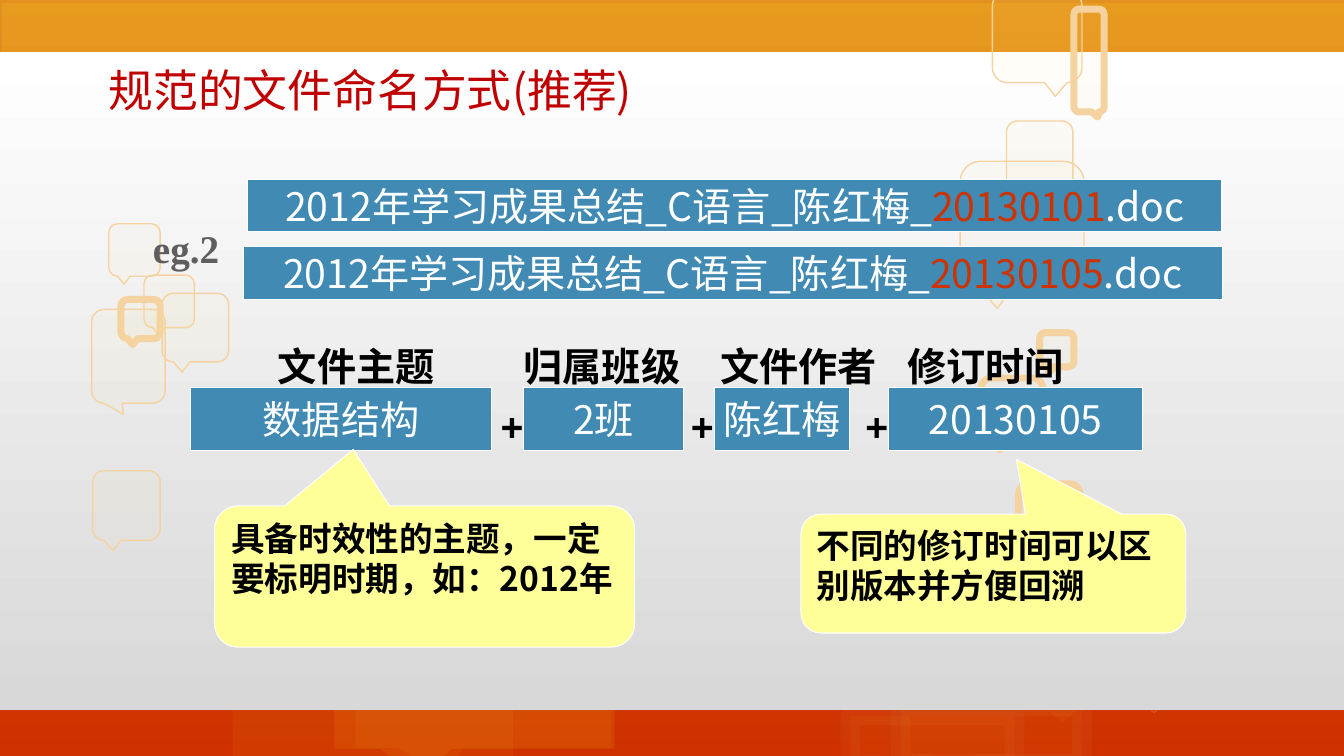
from dataclasses import dataclass

from lxml import etree
from pptx import Presentation
from pptx import util as u
from pptx.dml import color as dml
from pptx.enum import shapes, text
from pptx.oxml import ns

# The slide is 133.4 columns by 75 rows; each cell is a tenth of an inch.
COLUMNS, ROWS = 133.4, 75
CELL = u.Inches(0.1)


@dataclass(frozen=True)
class Theme:
    sky: str = "E29121"
    ground: str = "CE3000"
    panel_top: str = "FFFFFF"
    panel_bottom: str = "D8D8D8"
    amber: str = "FDC51B"
    pale_amber: str = "FEEAAC"
    cream: str = "FFE181"
    outline: str = "F5D3A1"
    blue: str = "418AB3"
    white: str = "FFFFFF"
    black: str = "000000"
    note: str = "FFFF99"
    title: str = "C00000"
    date: str = "CC3300"
    example: str = "5E5E5E"
    cjk: str = "Noto Sans CJK SC"
    sans: str = "Arial"
    serif: str = "Times New Roman"
    title_size: int = 32
    body_size: int = 28
    note_size: int = 24


THEME = Theme()


@dataclass(frozen=True)
class Area:
    left: float
    top: float
    width: float
    height: float

    def lengths(self) -> list[int]:
        return [round(n * CELL) for n in (self.left, self.top, self.width, self.height)]


@dataclass(frozen=True)
class Bubble:
    """A translucent speech bubble; tail is its tip, measured from the centre."""
    area: Area
    fill: str = THEME.cream
    opacity: int = 5
    line: str | None = None
    line_width: float = 1
    line_opacity: int = 100
    tail: tuple[float, float] = (-0.2, 0.65)


@dataclass(frozen=True)
class NamePart:
    label: str
    label_left: float
    value: str
    left: float
    width: float


@dataclass(frozen=True)
class FileName:
    area: Area
    date: str


@dataclass(frozen=True)
class Note:
    area: Area
    words: str
    tail: tuple[float, float]


BACK_BUBBLES = [
    Bubble(Area(35.3, 53.3, 25.4, 20.9), THEME.amber, 7, tail=(-0.14, 0.64)),
    Bubble(Area(33.2, 53.4, 27.8, 20.9), THEME.amber, 10),
    Bubble(Area(0.2, 0.3, 133.9, 20.9), THEME.amber, 20, tail=(-0.2, 0.45)),
    Bubble(Area(97.1, 47.7, 27.9, 20.9), THEME.amber, 5),
    Bubble(Area(84.4, 71, 16.3, 4.9), THEME.amber, 5, THEME.pale_amber, 14, 3),
    Bubble(Area(89.4, 70.1, 18, 5.7), THEME.amber, 5, THEME.pale_amber, 14, 3),
    Bubble(Area(111.3, 61.4, 10.8, 8.1), line=THEME.cream, line_opacity=14),
    Bubble(Area(23.1, 59.7, 27.8, 16.1), THEME.amber, 7),
]


def outlined(left: float, top: float, width: float, height: float,
             line_width: float = 1, tail: tuple[float, float] = (-0.2, 0.65)) -> Bubble:
    return Bubble(Area(left, top, width, height), line=THEME.outline,
                  line_width=line_width, tail=tail)


FRONT_BUBBLES = [
    outlined(9.2, 46.7, 6.7, 6.9),
    outlined(95.3, 16, 12.3, 12.7),
    outlined(106.6, 0.9, 3, 10.2, 5, (0.29, 0.55)),
    outlined(99.9, 12, 6.6, 6.8),
    outlined(98.5, -0.9, 8.9, 9.1, tail=(0.2, 0.65)),
    outlined(97.4, 37.5, 6.1, 6.2, 5),
    outlined(101.1, 48, 6.1, 6.2, 5),
    outlined(103.2, 33, 3.4, 3.4, 5),
    outlined(10.8, 22.2, 5.1, 5.2),
    outlined(14.3, 27.3, 5, 5.2),
    outlined(12, 29.7, 3.9, 3.9, 5),
    outlined(16.1, 29.1, 6.6, 6.8),
    outlined(9.1, 30.7, 7.3, 9.3, tail=(-0.07, 0.62)),
]

FILE_NAMES = [
    FileName(Area(24.6, 17.8, 96.7, 5.2), "20130101"),
    FileName(Area(24.2, 24.5, 97.1, 5.2), "20130105"),
]
NAME_PARTS = [
    NamePart("文件主题", 26.6, "数据结构", 18.9, 29.9),
    NamePart("归属班级", 51, "2班", 52, 15.8),
    NamePart("文件作者", 70.5, "陈红梅", 70.9, 13.4),
    NamePart("修订时间", 89.1, "20130105", 88.2, 25.2),
]
NOTES = [
    Note(Area(79.5, 51, 38.2, 11.8), "不同的修订时间可以区别版本并方便回溯", (0.06, -0.96)),
    Note(Area(21.3, 50.2, 41.7, 14), "具备时效性的主题，一定要标明时期，如：2012年", (-0.17, -0.9)),
]


def rgb(code: str) -> dml.RGBColor:
    return dml.RGBColor.from_string(code)


def fade(fill, opacity: int) -> None:
    """Give a solid fill an opacity in percent."""
    tint = fill._xPr.find(ns.qn("a:solidFill"))[0]
    etree.SubElement(tint, ns.qn("a:alpha"), val=str(opacity * 1000))


def shade_down(fill, start: str, end: str) -> None:
    fill.gradient()
    fill.gradient_angle = 270
    for stop, code in zip(fill.gradient_stops, (start, end)):
        stop.color.rgb = rgb(code)


def add_box(page, kind, area: Area, fill: str | None = None, line: str | None = None,
            line_width: float = 0.75, tail: tuple[float, float] = ()):
    box = page.shapes.add_shape(kind, *area.lengths())
    box.shadow.inherit = False
    for index, value in enumerate(tail):
        box.adjustments[index] = value
    if fill:
        box.fill.solid()
        box.fill.fore_color.rgb = rgb(fill)
    if line:
        box.line.color.rgb = rgb(line)
        box.line.width = u.Pt(line_width)
    else:
        box.line.fill.background()
    return box


def add_bubble(page, bubble: Bubble, kind) -> None:
    box = add_box(page, kind, bubble.area, bubble.fill, bubble.line,
                  bubble.line_width, bubble.tail)
    fade(box.fill, bubble.opacity)
    if bubble.line:
        fade(box.line.fill, bubble.line_opacity)


def write(box, *spans: tuple[str, str], size: int = THEME.body_size, font: str = THEME.cjk,
          bold: bool = False, wrap: bool = False, align=text.PP_ALIGN.LEFT,
          anchor=text.MSO_ANCHOR.TOP) -> None:
    """Fill a box with (words, colour) spans in one paragraph."""
    frame = box.text_frame
    frame.word_wrap = wrap
    frame.vertical_anchor = anchor
    frame.margin_left = frame.margin_right = CELL
    frame.margin_top = frame.margin_bottom = CELL // 2
    para = frame.paragraphs[0]
    para.alignment = align
    if font == THEME.cjk:  # even out the tall line of the CJK font
        para.line_spacing = u.Pt(size * 1.2)
    for words, colour in spans:
        span = para.add_run()
        span.text = words
        span.font.size = u.Pt(size)
        span.font.bold = bold
        span.font.color.rgb = rgb(colour)
        span.font.name = font
        etree.SubElement(span.font._element, ns.qn("a:ea"), typeface=font)


def add_label(page, area: Area, words: str, colour: str = THEME.black, **style) -> None:
    write(page.shapes.add_textbox(*area.lengths()), (words, colour), **style)


def add_bar(page, area: Area, *spans: tuple[str, str]) -> None:
    box = add_box(page, shapes.MSO_SHAPE.RECTANGLE, area, THEME.blue, THEME.white)
    write(box, *spans, align=text.PP_ALIGN.CENTER, anchor=text.MSO_ANCHOR.MIDDLE)


def main() -> None:
    deck = Presentation()
    deck.slide_width, deck.slide_height = round(COLUMNS * CELL), ROWS * CELL
    page = deck.slides.add_slide(deck.slide_layouts[6])
    kinds = shapes.MSO_SHAPE

    shade_down(page.background.fill, THEME.sky, THEME.ground)
    for bubble in BACK_BUBBLES:
        add_bubble(page, bubble, kinds.RECTANGULAR_CALLOUT)
    panel = add_box(page, kinds.RECTANGLE, Area(0, 5.2, COLUMNS, 65.2))
    shade_down(panel.fill, THEME.panel_top, THEME.panel_bottom)
    for bubble in FRONT_BUBBLES:
        add_bubble(page, bubble, kinds.ROUNDED_RECTANGULAR_CALLOUT)

    add_label(page, Area(9.8, 5.7, 103.6, 6.4), "规范的文件命名方式(推荐)", THEME.title,
              size=THEME.title_size, wrap=True)
    add_label(page, Area(14.2, 21.8, 8.6, 5.7), "eg.2", THEME.example,
              font=THEME.serif, bold=True)
    for name in FILE_NAMES:
        add_bar(page, name.area, ("2012年学习成果总结_C语言_陈红梅_", THEME.white),
                (name.date, THEME.date), (".doc", THEME.white))
    for index, part in enumerate(NAME_PARTS):
        if index:
            add_label(page, Area(part.left - 3.3, 39.4, 4.2, 5.7), "+",
                      font=THEME.sans, bold=True)
        add_bar(page, Area(part.left, 38.4, part.width, 6.3), (part.value, THEME.white))
        add_label(page, Area(part.label_left, 33.5, 17.5, 5.7), part.label, bold=True)
    for note in NOTES:
        box = add_box(page, kinds.ROUNDED_RECTANGULAR_CALLOUT, note.area, THEME.note,
                      THEME.white, tail=note.tail)
        write(box, (note.words, THEME.black), size=THEME.note_size, bold=True, wrap=True)

    deck.save("out.pptx")


if __name__ == "__main__":
    main()
